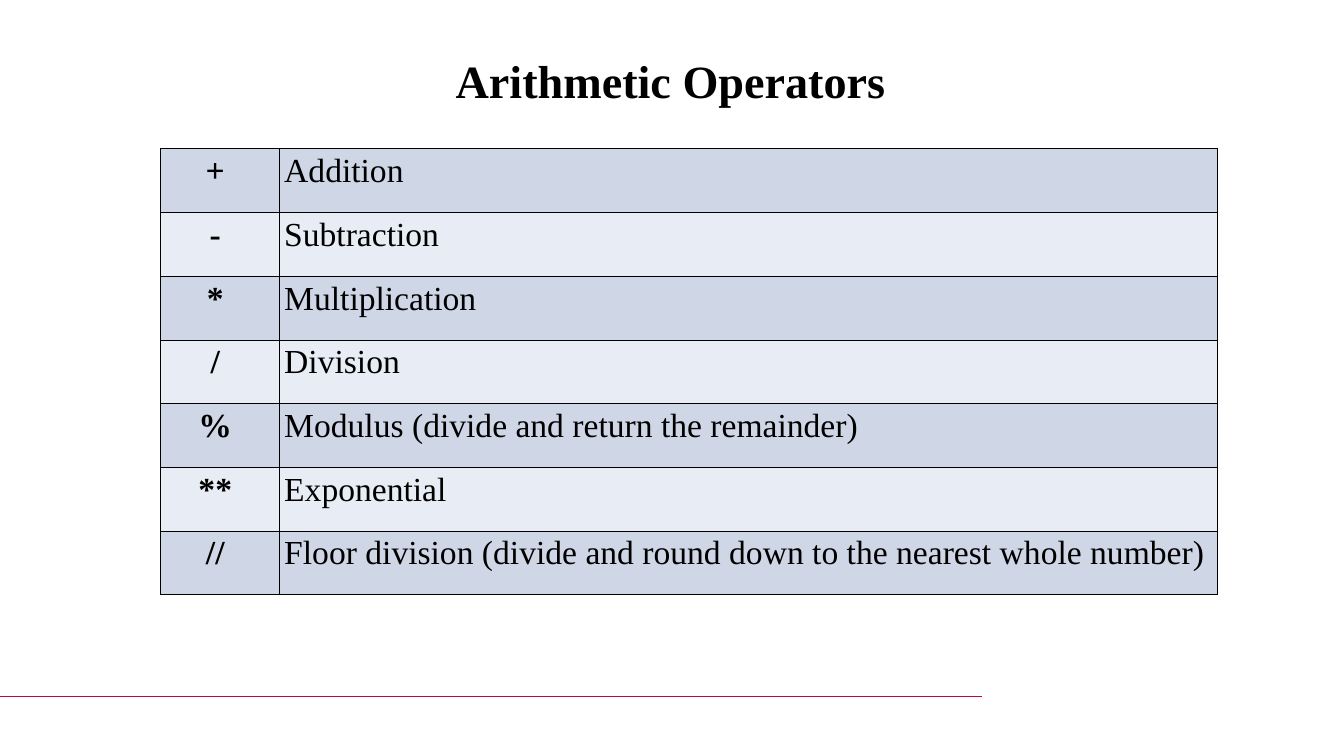
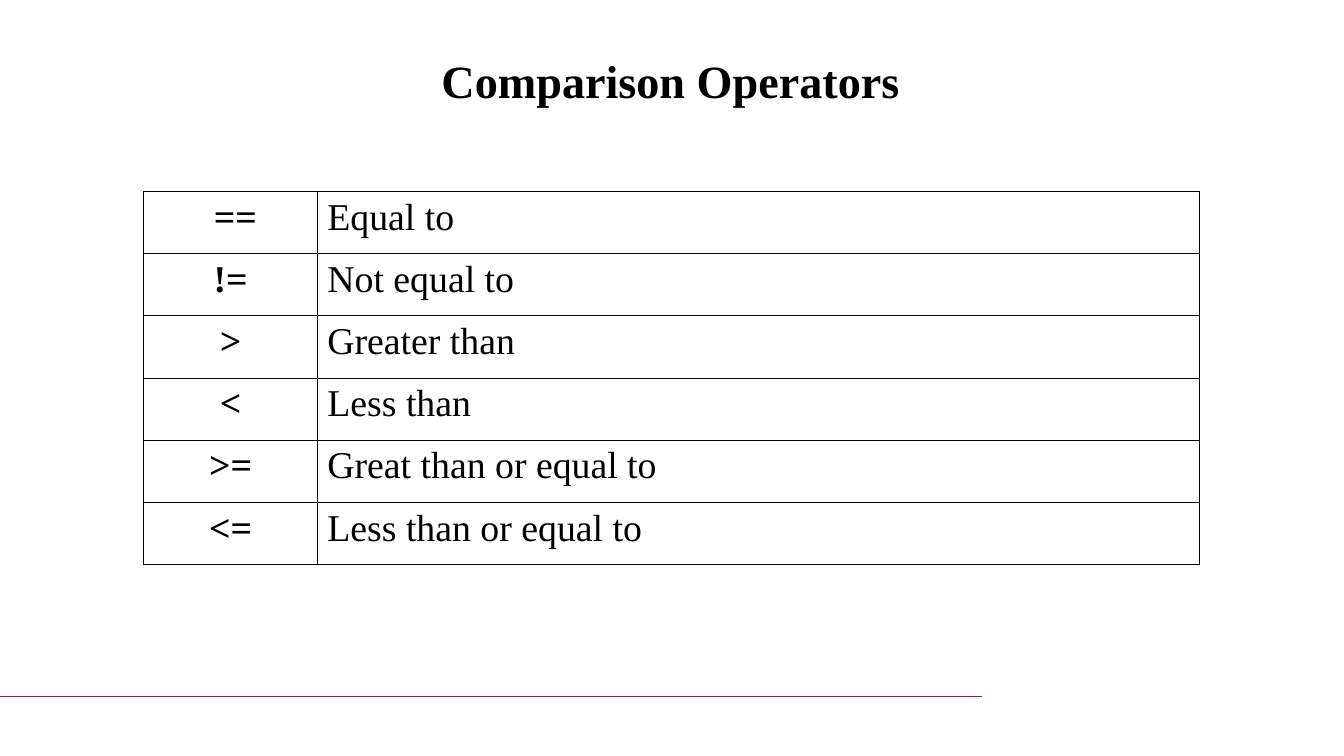
from lxml import etree
from pptx import Presentation
from pptx.dml.color import RGBColor
from pptx.enum import text
from pptx.oxml import ns
from pptx.util import Cm, Pt

# Content
NBSP = " "  # no-break space
ARITHMETIC = [
    ("+", "Addition"),
    ("-", "Subtraction"),
    ("*", "Multiplication"),
    ("/", "Division"),
    ("%", "Modulus (divide and return the remainder)"),
    ("**", "Exponential"),
    ("//", "Floor division (divide and round down to the nearest whole number)"),
]
COMPARISON = [
    (NBSP + "==", "Equal to"),
    ("!=", "Not equal to"),
    (">", "Greater than"),
    ("<", "Less than"),
    (">=", "Great than or equal to"),
    ("<=", "Less than or equal to"),
]

# Shared look
FONT = "Times New Roman"
BLACK = RGBColor(0x00, 0x00, 0x00)
WHITE = RGBColor(0xFF, 0xFF, 0xFF)
BAND_DARK = RGBColor(0xCF, 0xD7, 0xE7)
BAND_LIGHT = RGBColor(0xE8, 0xEC, 0xF4)
CRIMSON = RGBColor(0xBC, 0x09, 0x40)
SLIDE_WIDTH, SLIDE_HEIGHT = Cm(45.16), Cm(25.4)

SLIDES = [
    dict(title="Arithmetic Operators",
         rows=[(sign + NBSP, meaning + NBSP) for sign, meaning in ARITHMETIC],
         left=5.38, top=5.0, columns=(3.99, 31.52), row_height=2.14,
         margins=(0.18, 0.13), size=32, bands=(BAND_DARK, BAND_LIGHT)),
    dict(title="Comparison Operators", rows=COMPARISON,
         left=4.83, top=6.43, columns=(5.84, 29.64), row_height=2.09,
         margins=(0.33, 0.17), size=36, bands=(WHITE,)),
]


def set_font(paragraph, size, bold):
    font = paragraph.font
    font.name, font.size, font.bold = FONT, Pt(size), bold
    font.color.rgb = BLACK


def add_footer_line(page):
    width, top, bottom = Cm(33), Cm(23.37), Cm(23.4)
    builder = page.shapes.build_freeform(width, top)
    builder.add_line_segments([(0, top), (0, bottom), (width, bottom)], close=True)
    line = builder.convert_to_shape()
    line.shadow.inherit = False
    line.fill.solid()
    line.fill.fore_color.rgb = CRIMSON
    line.line.fill.background()


def set_title(page, words):
    title = page.shapes.title
    title.left, title.top = Cm(1.68), Cm(1.63)
    title.width, title.height = Cm(41.71), Cm(2.13)
    frame = title.text_frame
    frame.text = words
    frame.auto_size = text.MSO_AUTO_SIZE.SHAPE_TO_FIT_TEXT
    frame.paragraphs[0].alignment = text.PP_ALIGN.CENTER
    set_font(frame.paragraphs[0], 44, True)


def add_borders(cell):
    properties = cell._tc.get_or_add_tcPr()
    for index, side in enumerate(("lnL", "lnR", "lnT", "lnB")):
        border = etree.Element(ns.qn("a:" + side), w=str(Pt(0.75)))
        fill = etree.SubElement(border, ns.qn("a:solidFill"))
        etree.SubElement(fill, ns.qn("a:srgbClr"), val=str(BLACK))
        properties.insert(index, border)


def add_operator_table(page, rows, left, top, columns, row_height, margins, size, bands):
    table = page.shapes.add_table(
        len(rows), len(columns), Cm(left), Cm(top),
        Cm(sum(columns)), Cm(row_height * len(rows))).table
    for column, width in zip(table.columns, columns):
        column.width = Cm(width)
    for r, row in enumerate(rows):
        table.rows[r].height = Cm(row_height)
        for c, words in enumerate(row):
            is_sign = c == 0
            cell = table.cell(r, c)
            cell.text = words
            cell.margin_left = cell.margin_right = Cm(margins[0])
            cell.margin_top = cell.margin_bottom = Cm(margins[1])
            cell.fill.solid()
            cell.fill.fore_color.rgb = bands[r % len(bands)]
            add_borders(cell)
            para = cell.text_frame.paragraphs[0]
            para.alignment = text.PP_ALIGN.CENTER if is_sign else text.PP_ALIGN.LEFT
            set_font(para, size, is_sign)


def main():
    deck = Presentation()
    deck.slide_width, deck.slide_height = SLIDE_WIDTH, SLIDE_HEIGHT
    title_only = deck.slide_layouts[5]
    for content in SLIDES:
        page = deck.slides.add_slide(title_only)
        add_footer_line(page)
        set_title(page, content["title"])
        add_operator_table(page, **{key: value for key, value in content.items()
                                    if key != "title"})
    deck.save("out.pptx")


if __name__ == "__main__":
    main()
